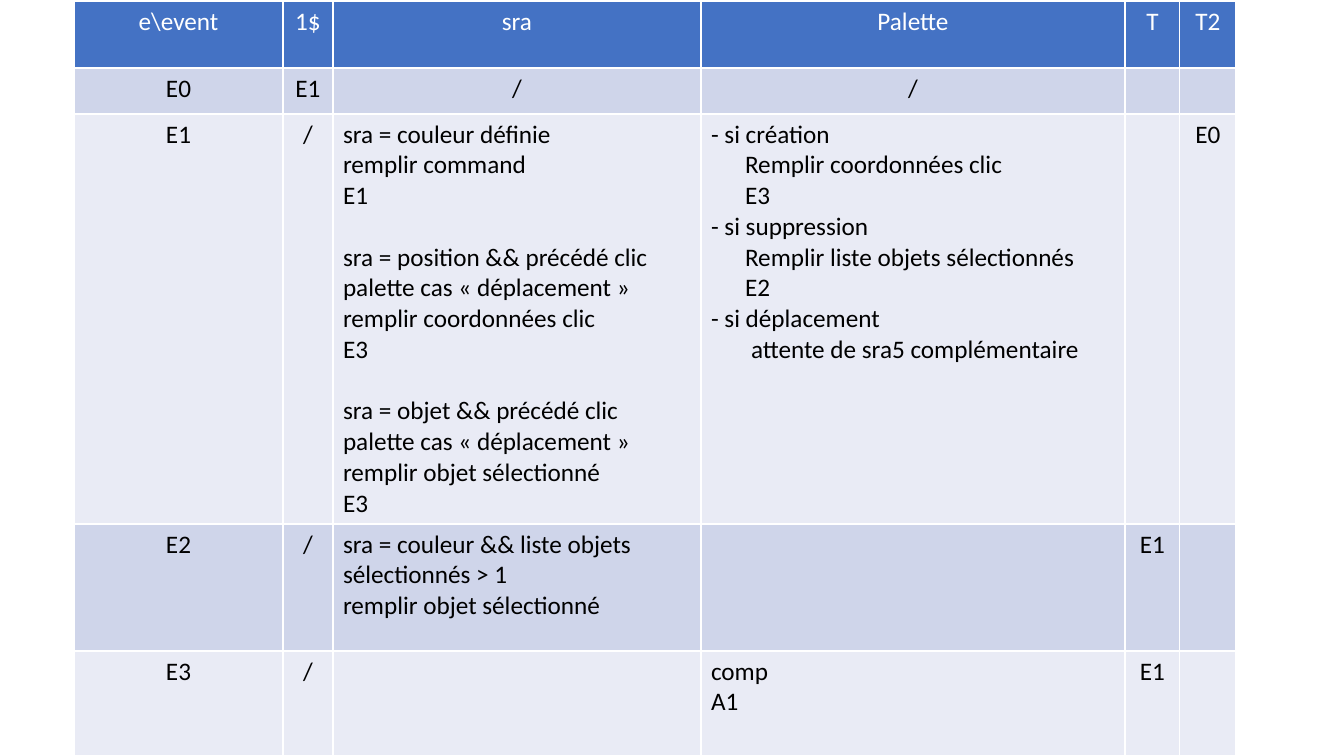
from dataclasses import dataclass

from pptx import Presentation
from pptx.dml.color import RGBColor
from pptx.enum.text import PP_ALIGN
from pptx.util import Pt

CENTER, LEFT = PP_ALIGN.CENTER, PP_ALIGN.LEFT
EMU_PER_PX = 914400 / 100.8
SLIDE_W, SLIDE_H = 1344, 756


def px(n):
    return round(n * EMU_PER_PX)


@dataclass(frozen=True)
class Theme:
    font: str = "Calibri"
    size: int = 18
    line_gap: int = 22  # points, one text line
    header_fill: str = "4472C4"
    header_text: str = "FFFFFF"
    body_text: str = "000000"
    bands: tuple = ("CFD5EA", "E9EBF5")


def write(p, text, *, theme, color, align=LEFT, indent=0, gap=0):
    """Fill one paragraph; indent is in pixels, gap in points."""
    p.alignment = align
    if indent:
        p._p.get_or_add_pPr().set("marL", str(px(indent)))
    if gap:
        p.space_before = Pt(gap)
    r = p.add_run()
    r.text = text
    r.font.name, r.font.size, r.font.bold = theme.font, Pt(theme.size), False
    r.font.color.rgb = RGBColor.from_string(color)


class SlideBuilder:
    def __init__(self, slide, theme):
        self.s, self.theme = slide, theme

    def cell(self, cell, content, fill, color):
        """A string is centred; a list holds left-aligned lines."""
        cell.fill.solid()
        cell.fill.fore_color.rgb = RGBColor.from_string(fill)
        tf = cell.text_frame
        lines = [(content, {"align": CENTER})] if isinstance(content, str) else content
        for i, line in enumerate(lines):
            text, fmt = (line, {}) if isinstance(line, str) else line
            p = tf.paragraphs[0] if i == 0 else tf.add_paragraph()
            write(p, text, theme=self.theme, color=color, **fmt)

    def table(self, x, y, widths, heights, rows):
        tbl = self.s.shapes.add_table(len(rows), len(widths), px(x), px(y),
                                      px(sum(widths)), px(sum(heights))).table
        for col, w in zip(tbl.columns, widths):
            col.width = px(w)
        for row, h in zip(tbl.rows, heights):
            row.height = px(h)
        t = self.theme
        for i, row in enumerate(rows):
            fill = t.bands[(i - 1) % 2] if i else t.header_fill
            color = t.body_text if i else t.header_text
            for j, content in enumerate(row):
                self.cell(tbl.cell(i, j), content, fill, color)


theme = Theme()
prs = Presentation()
prs.slide_width, prs.slide_height = px(SLIDE_W), px(SLIDE_H)
builder = SlideBuilder(prs.slides.add_slide(prs.slide_layouts[6]), theme)

# Line formats
new_block = {"gap": theme.line_gap}
step = {"indent": 34}
wait_step = {"indent": 40}
move_case = "&& précédé clic palette cas «\u00a0déplacement\u00a0»"

# Actions in state E1
e1_sra = [
    "sra = couleur définie", "remplir command", "E1",
    (f"sra = position {move_case}", new_block), "remplir coordonnées clic", "E3",
    (f"sra = objet {move_case}", new_block), "remplir objet sélectionné", "E3",
]
e1_palette = [
    "- si création", ("Remplir coordonnées clic", step), ("E3", step),
    "- si suppression", ("Remplir liste objets sélectionnés", step), ("E2", step),
    "- si déplacement", ("attente de sra5 complémentaire", wait_step),
]
e2_sra = ["sra = couleur && liste objets sélectionnés > 1", "remplir objet sélectionné"]

# State and event table
builder.table(
    74, 1,
    widths=[209, 50, 368, 424, 55, 56],
    heights=[67, 46, 410, 127, 105],
    rows=[
        ["e\\event", "1$", "sra", "Palette", "T", "T2"],
        ["E0", "E1", "/", "/", [], []],
        ["E1", "/", e1_sra, e1_palette, [], "E0"],
        ["E2", "/", e2_sra, [], "E1", []],
        ["E3", "/", [], ["comp", "A1"], "E1", []],
    ],
)

prs.save("out.pptx")
